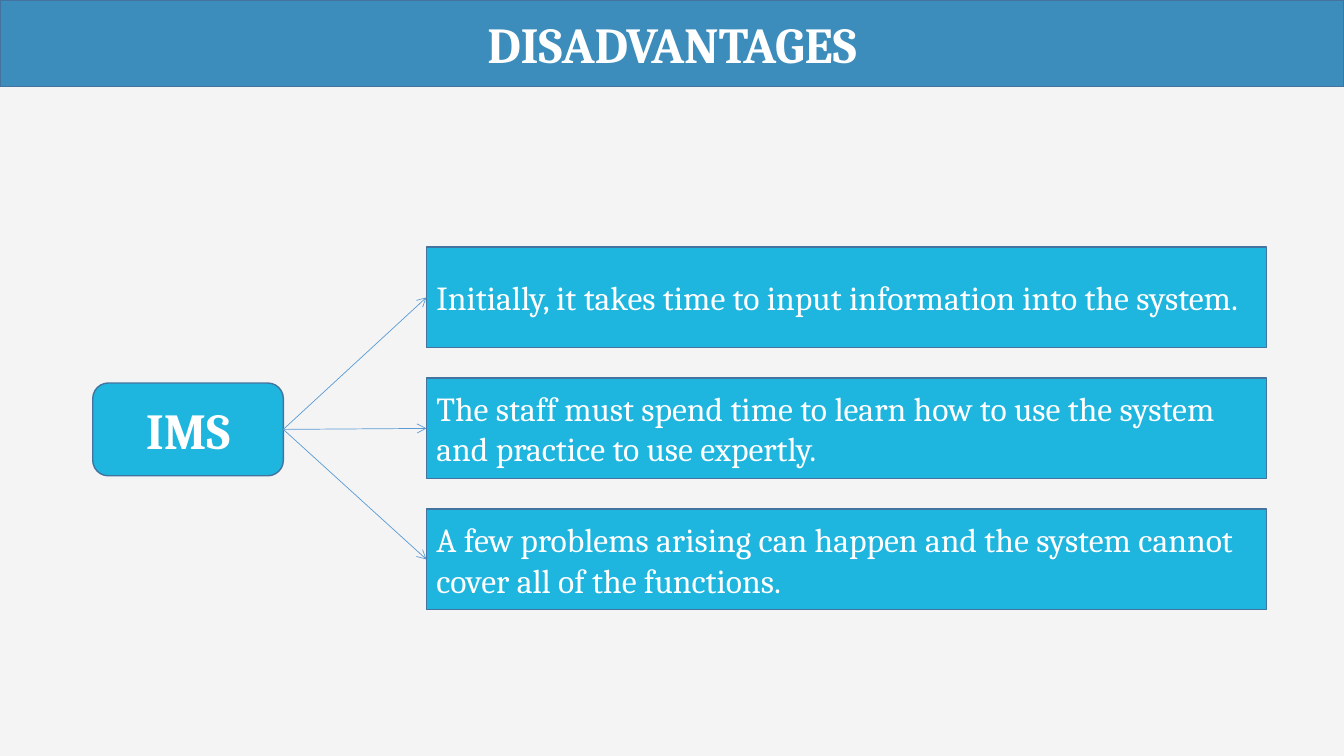
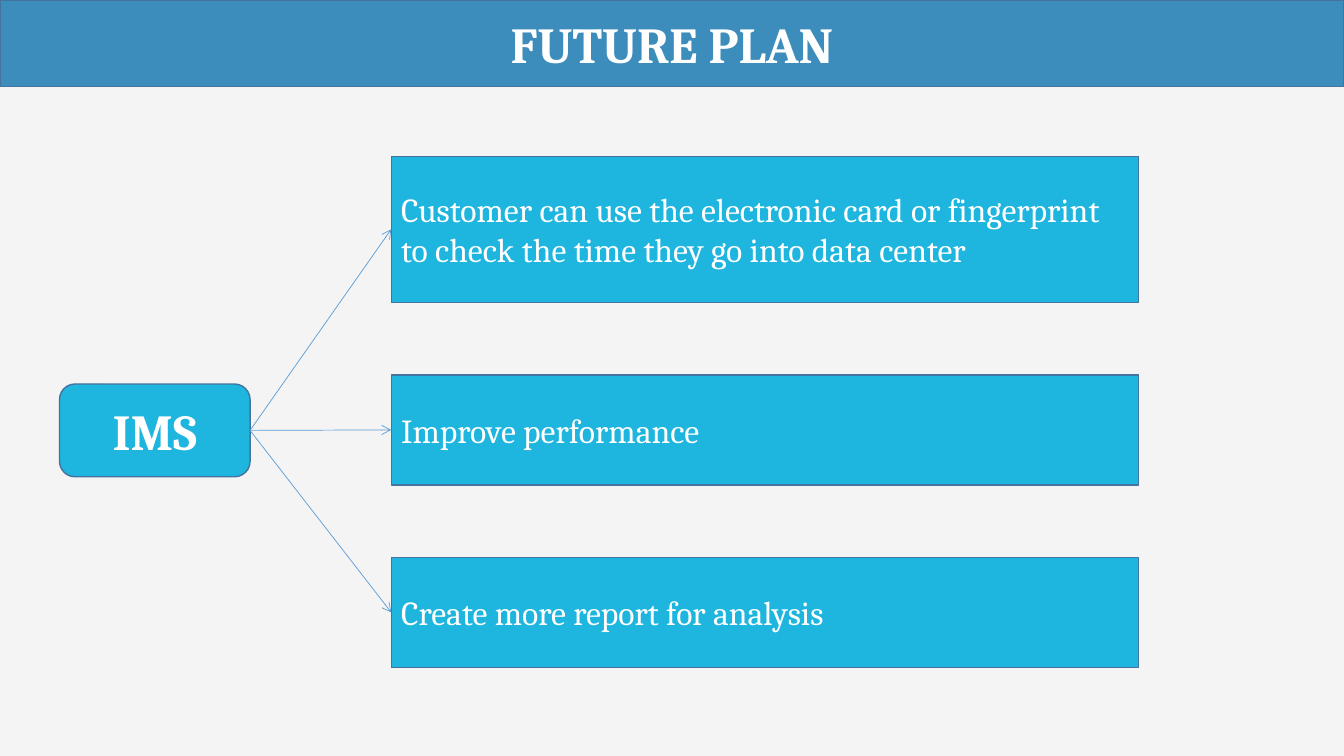
from dataclasses import dataclass

from lxml.etree import SubElement
from pptx import Presentation
from pptx.dml.color import RGBColor as Rgb
from pptx.enum.shapes import MSO_CONNECTOR as Connector, MSO_SHAPE as Shape
from pptx.enum.text import MSO_ANCHOR as Anchor, MSO_AUTO_SIZE as AutoSize, PP_ALIGN as Align
from pptx.oxml.ns import qn
from pptx.util import Inches, Pt


@dataclass(frozen=True)
class Theme:
    """Colours, font and sizes shared by the slides."""
    page: Rgb = Rgb.from_string("F4F4F4")
    band: Rgb = Rgb.from_string("3C8DBC")
    box: Rgb = Rgb.from_string("1EB5DE")
    outline: Rgb = Rgb.from_string("43739E")
    arrow: Rgb = Rgb.from_string("5B9BD5")
    text: Rgb = Rgb.from_string("FFFFFF")
    font: str = "Cambria"
    heading_size: Pt = Pt(36)
    body_size: Pt = Pt(24)
    outline_width: Pt = Pt(1)
    arrow_width: Pt = Pt(0.5)


THEME = Theme()
SLIDE_WIDTH, SLIDE_HEIGHT = Inches(13.33), Inches(7.5)
BAND_HEIGHT = Inches(0.86)
HUB_WIDTH, HUB_HEIGHT = Inches(1.89), Inches(0.92)
RIGHT_SIDE_ROUND, LEFT_SIDE = 3, 1


def paint(panel, fill):
    """Fill and outline a panel."""
    panel.fill.solid()
    panel.fill.fore_color.rgb = fill
    panel.line.color.rgb = THEME.outline
    panel.line.width = THEME.outline_width


def write(panel, wording, heading=False):
    """Write white text, centred and bold for a heading."""
    frame = panel.text_frame
    frame.word_wrap = True
    frame.auto_size = AutoSize.NONE
    frame.vertical_anchor = Anchor.MIDDLE
    paragraph = frame.paragraphs[0]
    paragraph.alignment = Align.CENTER if heading else Align.LEFT
    run = paragraph.add_run()
    run.text = wording
    run.font.name = THEME.font
    run.font.size = THEME.heading_size if heading else THEME.body_size
    run.font.bold = heading
    run.font.color.rgb = THEME.text


def title_band(slide, wording):
    """Turn the title placeholder into the full-width band."""
    title = slide.shapes.title
    title.left, title.top = Inches(0), Inches(0)
    title.width, title.height = SLIDE_WIDTH, BAND_HEIGHT
    paint(title, THEME.band)
    write(title, wording, heading=True)


def add_box(slide, outline, bounds, wording, heading=False):
    """Add a labelled box and return it."""
    box = slide.shapes.add_shape(outline, *bounds)
    box.shadow.inherit = False
    paint(box, THEME.box)
    write(box, wording, heading)
    return box


def add_arrow(slide, hub, point):
    """Join the hub to a point with an open arrowhead."""
    arrow = slide.shapes.add_connector(Connector.STRAIGHT, 0, 0, 0, 0)
    arrow.begin_connect(hub, RIGHT_SIDE_ROUND)
    arrow.end_connect(point, LEFT_SIDE)
    arrow.line.color.rgb = THEME.arrow
    arrow.line.width = THEME.arrow_width
    SubElement(arrow.line._get_or_add_ln(), qn("a:tailEnd"), type="arrow")
    SubElement(arrow._element.spPr, qn("a:effectLst"))


def hub_and_points(slide, hub_corner, column, gap, points):
    """Stack the points in a column and link each to the hub."""
    hub = add_box(slide, Shape.ROUNDED_RECTANGLE, (*hub_corner, HUB_WIDTH, HUB_HEIGHT),
                  "IMS", heading=True)
    left, top, width = column
    for wording, height in points:
        point = add_box(slide, Shape.RECTANGLE, (left, top, width, height), wording)
        add_arrow(slide, hub, point)
        top += height + gap


def topic_slide(deck, heading, **diagram):
    """Add a slide with a title band and a hub diagram."""
    slide = deck.slides.add_slide(deck.slide_layouts.get_by_name("Title Only"))
    title_band(slide, heading)
    hub_and_points(slide, **diagram)


def main():
    """Build and save the deck."""
    deck = Presentation()
    deck.slide_width, deck.slide_height = SLIDE_WIDTH, SLIDE_HEIGHT
    page = deck.slide_master.background.fill
    page.solid()
    page.fore_color.rgb = THEME.page

    topic_slide(
        deck, "DISADVANTAGES",
        hub_corner=(Inches(0.92), Inches(3.8)),
        column=(Inches(4.23), Inches(2.45), Inches(8.33)),
        gap=Inches(0.3),
        points=[
            ("Initially, it takes time to input information into the system.", Inches(1)),
            ("The staff must spend time to learn how to use the system "
             "and practice to use expertly.", Inches(1)),
            ("A few problems arising can happen and the system cannot "
             "cover all of the functions.", Inches(1)),
        ],
    )
    topic_slide(
        deck, "FUTURE PLAN",
        hub_corner=(Inches(0.59), Inches(3.81)),
        column=(Inches(3.88), Inches(1.55), Inches(7.41)),
        gap=Inches(0.72),
        points=[
            ("Customer can use the electronic card or fingerprint "
             "to check the time they go into data center", Inches(1.45)),
            ("Improve performance", Inches(1.09)),
            ("Create more report for analysis", Inches(1.09)),
        ],
    )
    deck.save("out.pptx")


if __name__ == "__main__":
    main()
